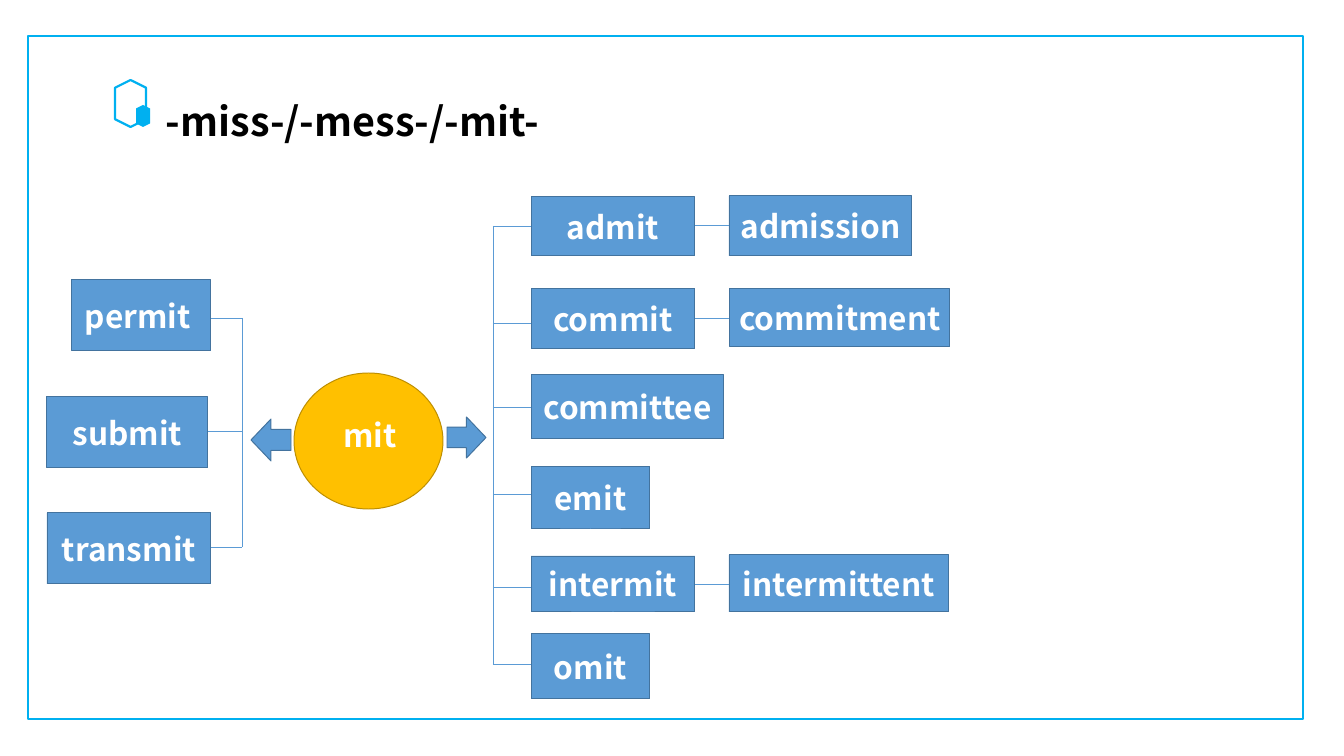
from lxml import etree
from pptx import Presentation
from pptx import util as u
from pptx.dml.color import RGBColor
from pptx.enum import shapes, text
from pptx.oxml.ns import qn

EMU_PER_PIXEL = 12861
FONT = "Noto Sans CJK SC"
CYAN = RGBColor(0x00, 0xB0, 0xF0)
BLUE = RGBColor(0x5B, 0x9B, 0xD5)
NAVY = RGBColor(0x43, 0x73, 0x9E)
GOLD = RGBColor(0xFF, 0xC0, 0x00)
OCHRE = RGBColor(0xBD, 0x8E, 0x00)
WHITE = RGBColor(0xFF, 0xFF, 0xFF)
BLACK = RGBColor(0x00, 0x00, 0x00)
KIND = shapes.MSO_SHAPE

LEFT_TRUNK = 242
RIGHT_TRUNK = 493
ROOT_COLUMN = 531

# word, left, top, width, height, branch height
LEFT_WORDS = [
    ("permit ", 72, 280, 139, 71, 318),
    ("submit", 47, 397, 161, 71, 431),
    ("transmit", 47, 513, 164, 71, 547),
]
# word, top, width, height, branch height
RIGHT_WORDS = [
    ("admit", 197, 164, 59, 226),
    ("commit", 288, 164, 61, 323),
    ("committee", 375, 193, 64, 407),
    ("emit", 466, 119, 63, 494),
    ("intermit", 556, 164, 56, 587),
    ("omit", 634, 119, 65, 664),
]
# word, left, top, width, height, link height
DERIVED_WORDS = [
    ("admission", 729, 196, 183, 60, 225),
    ("commitment", 730, 289, 220, 58, 318),
    ("intermittent", 729, 555, 220, 57, 584),
]


def px(*lengths):
    """Turn pixel lengths into EMU."""
    return [u.Emu(length * EMU_PER_PIXEL) for length in lengths]


def style_text(frame, words, size, color):
    """Fill a text frame with one bold paragraph."""
    frame.text = words
    font = frame.paragraphs[0].runs[0].font
    font.name, font.size, font.bold = FONT, u.Pt(size), True
    font.color.rgb = color


def add_figure(slide, kind, box, fill=None, line=None, weight=1):
    """Add a preset shape with optional fill and outline."""
    figure = slide.shapes.add_shape(kind, *px(*box))
    figure.shadow.inherit = False
    if fill is None:
        figure.fill.background()
    else:
        figure.fill.solid()
        figure.fill.fore_color.rgb = fill
    if line is None:
        figure.line.fill.background()
    else:
        figure.line.color.rgb = line
        figure.line.width = u.Pt(weight)
    return figure


def add_word(slide, word, *box):
    """Add a blue box with a centred word."""
    frame = add_figure(slide, KIND.RECTANGLE, box, BLUE, NAVY).text_frame
    style_text(frame, word, 32, WHITE)
    frame.vertical_anchor = text.MSO_ANCHOR.MIDDLE
    frame.paragraphs[0].alignment = text.PP_ALIGN.CENTER


def add_label(slide, words, box, size, color):
    """Add an unwrapped text box."""
    frame = slide.shapes.add_textbox(*px(*box)).text_frame
    frame.word_wrap = False
    style_text(frame, words, size, color)


def add_branch(slide, x1, y1, x2, y2):
    """Add a thin blue line between two points."""
    branch = slide.shapes.add_connector(
        shapes.MSO_CONNECTOR.STRAIGHT, *px(x1, y1, x2, y2))
    branch.line.color.rgb = BLUE
    branch.line.width = u.Pt(0.5)
    etree.SubElement(branch._element.spPr, qn("a:effectLst"))


def add_heading(slide):
    """Add the frame, the hexagon ornament and the title."""
    add_figure(slide, KIND.RECTANGLE, (28, 36, 1275, 683), None, CYAN, 2.25)
    hexagons = [
        add_figure(slide, KIND.HEXAGON, (107, 88, 47, 31), None, CYAN, 2.25),
        add_figure(slide, KIND.HEXAGON, (132, 109, 22, 14), CYAN),
    ]
    for hexagon in hexagons:
        hexagon.rotation = 90
    add_label(slide, "-miss-/-mess-/-mit-", (159, 94, 415, 55), 40, BLACK)


def add_root(slide):
    """Add the central root with its two arrows."""
    add_figure(slide, KIND.RIGHT_ARROW, (447, 417, 39, 41), BLUE, NAVY)
    add_figure(slide, KIND.FLOWCHART_CONNECTOR, (294, 373, 149, 136), GOLD, OCHRE)
    add_figure(slide, KIND.LEFT_ARROW, (251, 419, 40, 42), BLUE, NAVY)
    add_label(slide, "mit", (336, 412, 68, 46), 32, WHITE)


def add_trunk(slide, x, words):
    """Add the vertical line that joins the branches of one side."""
    add_branch(slide, x, words[0][-1], x, words[-1][-1])


def main():
    """Build the word tree and save it."""
    deck = Presentation()
    deck.slide_width, deck.slide_height = px(1344, 756)
    slide = deck.slides.add_slide(deck.slide_layouts[6])
    add_heading(slide)
    add_root(slide)
    add_trunk(slide, LEFT_TRUNK, LEFT_WORDS)
    add_trunk(slide, RIGHT_TRUNK, RIGHT_WORDS)
    for word, left, top, width, height, y in LEFT_WORDS:
        add_branch(slide, left + width, y, LEFT_TRUNK, y)
        add_word(slide, word, left, top, width, height)
    for word, top, width, height, y in RIGHT_WORDS:
        add_branch(slide, RIGHT_TRUNK, y, ROOT_COLUMN, y)
        add_word(slide, word, ROOT_COLUMN, top, width, height)
    for word, left, top, width, height, y in DERIVED_WORDS:
        add_branch(slide, 695, y, left, y)
        add_word(slide, word, left, top, width, height)
    deck.save("out.pptx")


main()
